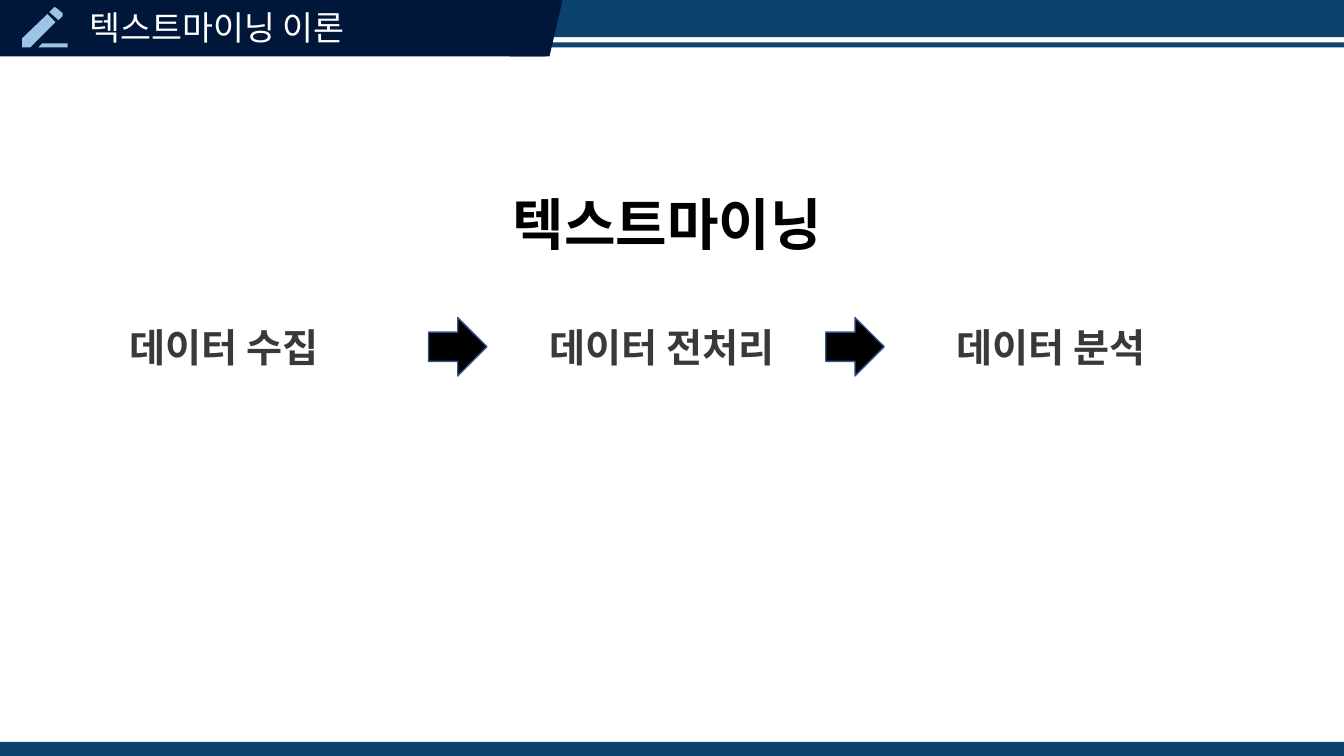
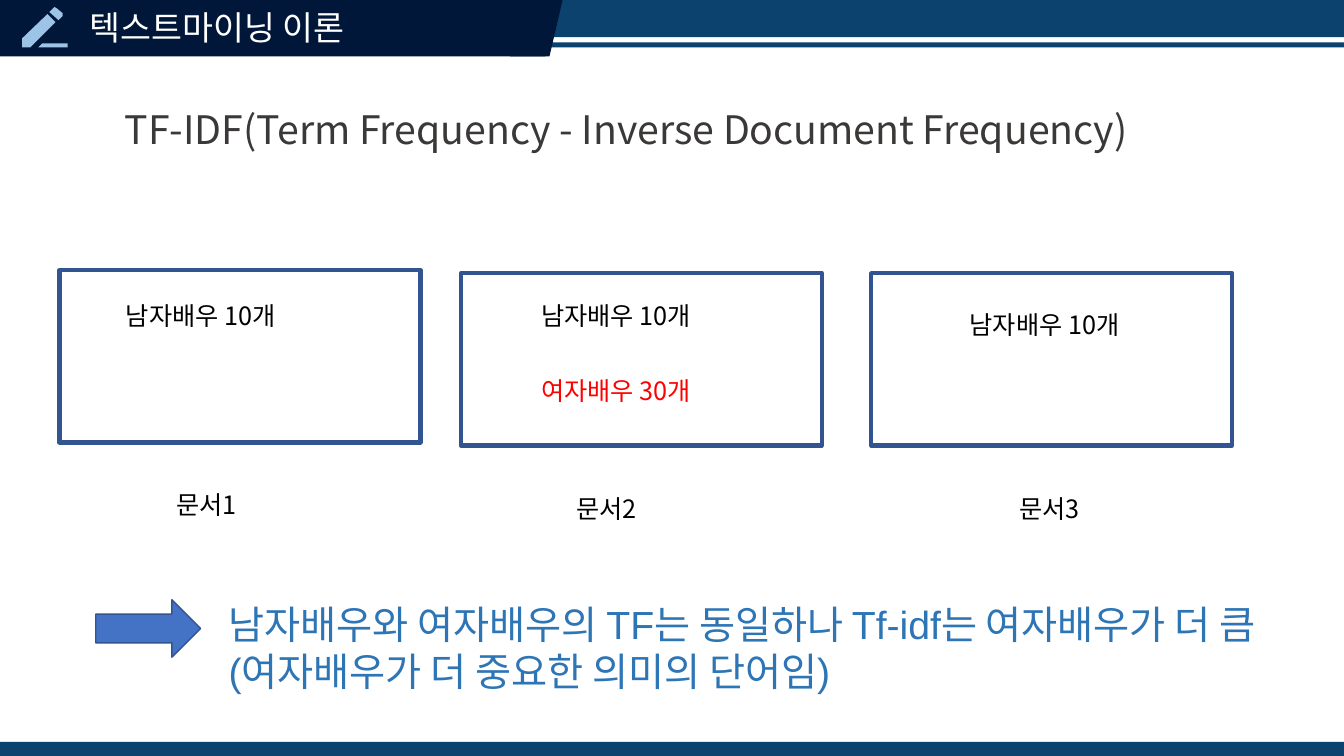
from lxml import etree
from pptx import Presentation
from pptx.dml.color import RGBColor
from pptx.enum.shapes import MSO_SHAPE
from pptx.enum.text import MSO_ANCHOR, MSO_AUTO_SIZE, PP_ALIGN
from pptx.oxml.ns import qn
from pptx.util import Inches, Pt

RECT = MSO_SHAPE.RECTANGLE
SLANT = MSO_SHAPE.PARALLELOGRAM
ARROW = MSO_SHAPE.RIGHT_ARROW
TOP, MIDDLE = MSO_ANCHOR.TOP, MSO_ANCHOR.MIDDLE
LEFT, CENTER = PP_ALIGN.LEFT, PP_ALIGN.CENTER
FIXED, GROW = MSO_AUTO_SIZE.NONE, MSO_AUTO_SIZE.SHAPE_TO_FIT_TEXT

NAVY = RGBColor(0x00, 0x17, 0x39)
BLUE = RGBColor(0x0B, 0x42, 0x6E)
SKY = RGBColor(0x9D, 0xC3, 0xE6)
EDGE = RGBColor(0x32, 0x54, 0x91)
ROYAL = RGBColor(0x44, 0x72, 0xC4)
AZURE = RGBColor(0x2E, 0x75, 0xB6)
GRAY = RGBColor(0x3B, 0x38, 0x38)
BLACK = RGBColor(0x00, 0x00, 0x00)
WHITE = RGBColor(0xFF, 0xFF, 0xFF)
RED = RGBColor(0xFF, 0x00, 0x00)

SANS = "Noto Sans CJK KR"
LATIN = "Arial"
HEAD = "텍스트마이닝 이론"

BANDS = [
    (RECT, (-0.02, 7.36, 13.35, 0.17), BLUE),
    (RECT, (-0.02, 0.42, 13.35, 0.05), BLUE),
    (RECT, (0, 0, 13.35, 0.37), BLUE),
    (RECT, (-0.02, 0, 5.43, 0.56), NAVY),
    (SLANT, (5.06, 0, 0.52, 0.56), NAVY),
]
PEN = [
    [(22, 38), (22, 47), (30, 47), (55, 22), (47, 14)],
    [(62, 16), (62.5, 14.5), (62, 13), (56, 8), (54.5, 7), (53, 8),
     (49, 12), (58, 20)],
    [(42, 43), (38, 47), (67, 47), (67, 43)],
]


class Deck:
    """Hold the shared style and the slide being built."""

    def __init__(self):
        self.file = Presentation()
        self.file.slide_width = Inches(13.33)
        self.file.slide_height = Inches(7.5)
        self.base = self.file.slide_layouts[5]
        self.slide = None

    def start(self):
        first = self.slide is None
        self.slide = self.file.slides.add_slide(self.base)
        if first:
            self.frame()
        title = self.slide.shapes.title
        title.left, title.top = Inches(0.79), Inches(0)
        title.width, title.height = Inches(6.72), Inches(0.58)
        frame = title.text_frame
        frame.auto_size = FIXED
        frame.vertical_anchor = MIDDLE
        para = frame.paragraphs[0]
        para.alignment = LEFT
        para.line_spacing = 0.9
        self.run(para, HEAD, 24, WHITE)

    def frame(self):
        parts = [self.shape(kind, box, fill) for kind, box, fill in BANDS]
        for part in parts + [self.pen()]:
            self.base.shapes.element.append(part.element)

    def pen(self):
        path = self.slide.shapes.build_freeform(*PEN[0][0], scale=Inches(0.01))
        for num, points in enumerate(PEN):
            if num:
                path.move_to(*points[0])
            path.add_line_segments(points[1:], close=True)
        return self.paint(path.convert_to_shape(), SKY)

    def paint(self, shape, fill=None, line=None, width=1):
        shape.shadow.inherit = False
        if fill is None:
            shape.fill.background()
        else:
            shape.fill.solid()
            shape.fill.fore_color.rgb = fill
        if line is None:
            shape.line.fill.background()
        else:
            shape.line.color.rgb = line
            shape.line.width = Pt(width)
        return shape

    def shape(self, kind, box, fill=None, line=None, width=1):
        shape = self.slide.shapes.add_shape(kind, *map(Inches, box))
        return self.paint(shape, fill, line, width)

    def run(self, para, text, size, color, bold=False, face=SANS):
        run = para.add_run()
        run.text = text
        font = run.font
        font.size, font.bold, font.name = Pt(size), bold, face
        font.color.rgb = color
        asian = etree.SubElement(run.font._element, qn("a:ea"))
        asian.set("typeface", SANS)

    def text(self, box, text, size, color=BLACK, bold=False, face=SANS):
        frame = self.slide.shapes.add_textbox(*map(Inches, box)).text_frame
        frame.word_wrap = True
        frame.auto_size = GROW
        self.run(frame.paragraphs[0], text, size, color, bold, face)

    def panel(self, box, text, size, inset):
        frame = self.shape(RECT, box, WHITE).text_frame
        frame.vertical_anchor = TOP
        frame.margin_top = Inches(inset)
        para = frame.paragraphs[0]
        para.alignment = CENTER
        self.run(para, text, size, BLACK, True)


def steps(deck):
    deck.start()
    deck.panel((0.79, 0.83, 11.66, 6.12), "텍스트마이닝", 40, 1.05)
    for left, name in [(1.19, "데이터 수집"), (5.35, "데이터 전처리"),
                       (9.39, "데이터 분석")]:
        deck.text((left, 3.16, 2.54, 0.57), name, 28, GRAY, True)
    for left in (4.25, 8.19):
        deck.shape(ARROW, (left, 3.15, 0.58, 0.58), BLACK, EDGE)


def terms(deck):
    deck.start()
    deck.text((1.14, 1, 12.1, 0.57),
              "TF-IDF(Term Frequency - Inverse Document Frequency)", 28, GRAY)
    deck.text((2.17, 5.91, 10.4, 1.04),
              "남자배우와 여자배우의 TF는 동일하나 Tf-idf는 여자배우가 "
              "더 큼(여자배우가 더 중요한 의미의 단어임)",
              28, AZURE, face=LATIN)
    deck.shape(ARROW, (0.95, 5.95, 1.04, 0.57), ROYAL, EDGE)
    cards = [
        (0.59, 2.68, 1.65, 1.15, 2.93),
        (4.57, 2.71, 5.62, 5.27, 2.93),
        (8.64, 2.71, 10.01, 9.52, 3.02),
    ]
    for num, (left, top, label, word, row) in enumerate(cards, 1):
        deck.shape(RECT, (left, top, 3.58, 1.71), line=EDGE, width=3)
        deck.text((label, top + 2.13, 0.8, 0.4), f"문서{num}", 18)
        deck.text((word, row, 2, 0.4), "남자배우 10개", 18)
    deck.text((5.27, 3.67, 2, 0.4), "여자배우 30개", 18, RED)


def main():
    deck = Deck()
    steps(deck)
    terms(deck)
    deck.file.save("out.pptx")


if __name__ == "__main__":
    main()
